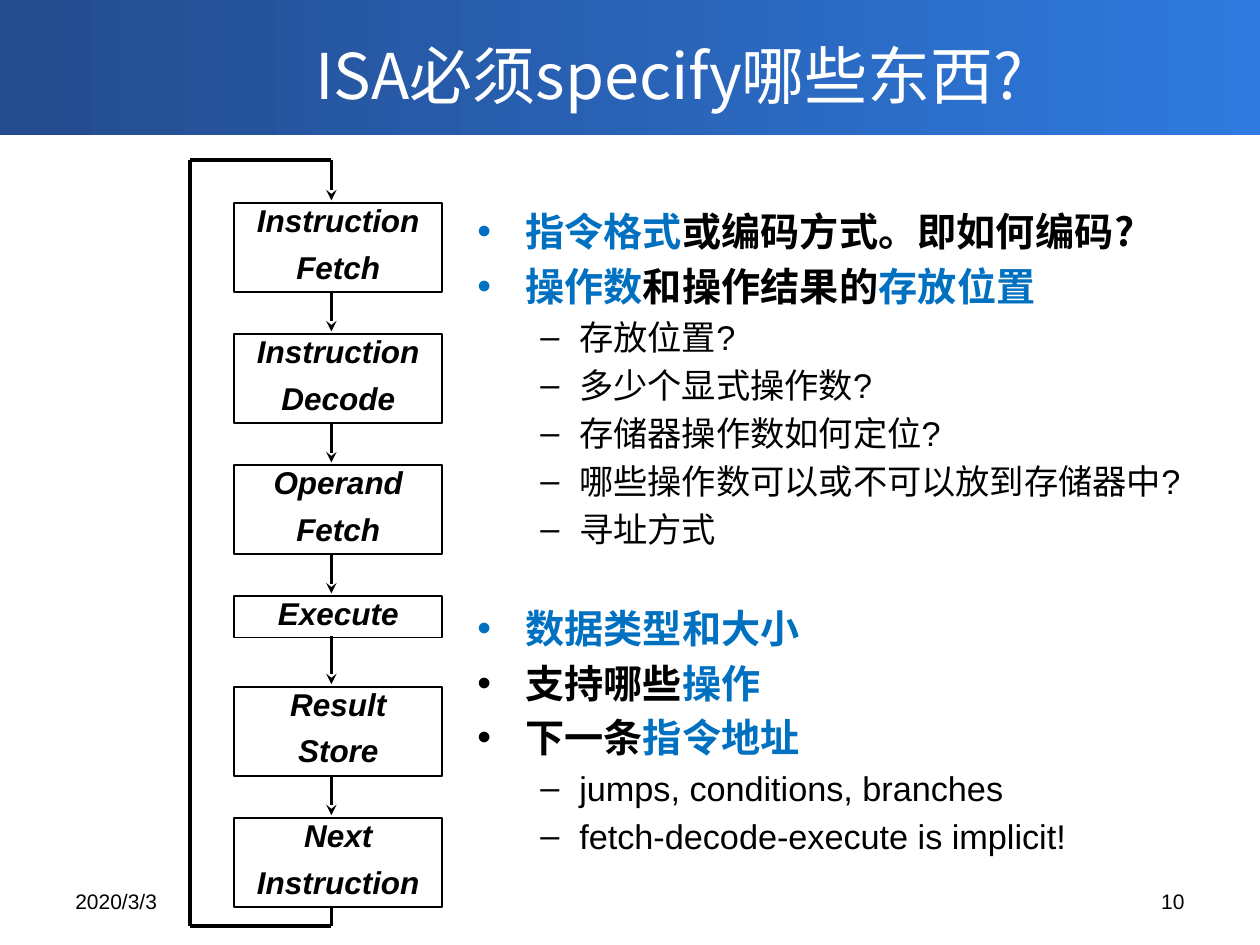
from lxml import etree
from pptx import Presentation
from pptx.dml.color import RGBColor
from pptx.enum import shapes, text
from pptx.oxml.ns import qn
from pptx.util import Inches, Pt

COLORS = {"band_dark": "234B8D", "band_light": "2F7ADF", "white": "FFFFFF",
          "black": "000000", "blue": "0070C0"}
LATIN, CHINESE = "Arial", "Noto Sans CJK SC"

presentation = Presentation()
presentation.slide_width, presentation.slide_height = Inches(10), Inches(7.5)
slide = presentation.slides.add_slide(presentation.slide_layouts[6])


def add_run(paragraph, wording, size, color="black", font=LATIN, bold=False, italic=False):
    run = paragraph.add_run()
    run.text = wording
    run.font.size, run.font.name = Pt(size), font
    run.font.bold, run.font.italic = bold, italic
    run.font.color.rgb = RGBColor.from_string(COLORS[color])
    if font == CHINESE:
        etree.SubElement(run.font._element, qn("a:ea"), typeface=font)


def add_line(start, end, arrow=False):
    line = slide.shapes.add_connector(shapes.MSO_CONNECTOR.STRAIGHT,
                                      *map(Inches, start + end))
    line.line.color.rgb = RGBColor.from_string(COLORS["black"])
    line.line.width = Pt(2)
    if arrow:
        etree.SubElement(line.line._get_or_add_ln(), qn("a:tailEnd"), type="stealth")
    etree.SubElement(line._element.spPr, qn("a:effectLst"))


# Title band
band = slide.shapes.add_shape(shapes.MSO_SHAPE.RECTANGLE, 0, 0, Inches(10), Inches(1.07))
band.shadow.inherit = False
band.line.fill.background()
band.fill.gradient()
band.fill.gradient_angle = 0
for stop, name in zip(band.fill.gradient_stops, ("band_dark", "band_light")):
    stop.color.rgb = RGBColor.from_string(COLORS[name])

# Title, date and page number
align = text.PP_ALIGN
for wording, place, size, color, font, alignment in [
    ("ISA必须specify哪些东西?", (1.13, 0.16, 8.37, 0.86), 36, "white", CHINESE, align.CENTER),
    ("2020/3/3", (0.5, 6.95, 2.33, 0.4), 12, "black", LATIN, align.LEFT),
    ("10", (7.17, 6.95, 2.33, 0.4), 12, "black", LATIN, align.RIGHT),
]:
    frame = slide.shapes.add_textbox(*map(Inches, place)).text_frame
    frame.word_wrap = True
    frame.vertical_anchor = text.MSO_ANCHOR.MIDDLE
    frame.paragraphs[0].alignment = alignment
    add_run(frame.paragraphs[0], wording, size, color, font)

# Bullet list: level and coloured pieces of each line
bullets = [
    (0, [("指令格式", "blue"), ("或编码方式。即如何编码?", "black")]),
    (0, [("操作数", "blue"), ("和操作结果的", "black"), ("存放位置", "blue")]),
    (1, [("存放位置?", "black")]),
    (1, [("多少个显式操作数?", "black")]),
    (1, [("存储器操作数如何定位?", "black")]),
    (1, [("哪些操作数可以或不可以放到存储器中?", "black")]),
    (1, [("寻址方式", "black")]),
    (0, [("数据类型和大小", "blue")]),
    (0, [("支持哪些", "black"), ("操作", "blue")]),
    (0, [("下一条", "black"), ("指令地址", "blue")]),
    (1, [("jumps, conditions, branches", "black")]),
    (1, [("fetch-decode-execute is implicit!", "black")]),
]
SECOND_GROUP = 7
# size, font, bold, line height, space before, margin, hanging indent, bullet
levels = [(22.4, CHINESE, True, 26, 5.2, 0.38, -0.38, "•"),
          (19.6, LATIN, False, 22.5, 4.9, 0.81, -0.31, "–")]
body = slide.shapes.add_textbox(Inches(3.69), Inches(1.61), Inches(5.8), Inches(5.52))
frame = body.text_frame
frame.word_wrap = True
frame.margin_right = 0
for index, (level, pieces) in enumerate(bullets):
    size, font, bold, height, before, margin, indent, mark = levels[level]
    paragraph = frame.add_paragraph() if index else frame.paragraphs[0]
    paragraph.level = level
    paragraph.line_spacing = Pt(height)
    if index:
        paragraph.space_before = Pt(before + (27.4 if index == SECOND_GROUP else 0))
    properties = paragraph._p.get_or_add_pPr()
    properties.set("marL", str(Inches(margin)))
    properties.set("indent", str(Inches(indent)))
    etree.SubElement(properties, qn("a:buFont"), typeface=LATIN)
    etree.SubElement(properties, qn("a:buChar"), char=mark)
    for wording, color in pieces:
        add_run(paragraph, wording, size, color, font, bold)

# Instruction cycle: top and height of each step
steps = [("Instruction Fetch", 1.61, 0.71), ("Instruction Decode", 2.65, 0.71),
         ("Operand Fetch", 3.69, 0.71), ("Execute", 4.73, 0.33),
         ("Result Store", 5.45, 0.71), ("Next Instruction", 6.49, 0.71)]
for label, top, height in steps:
    box = slide.shapes.add_shape(shapes.MSO_SHAPE.RECTANGLE, Inches(1.86), Inches(top),
                                 Inches(1.65), Inches(height))
    box.shadow.inherit = False
    box.fill.background()
    box.line.color.rgb = RGBColor.from_string(COLORS["black"])
    box.line.width = Pt(1)
    frame = box.text_frame
    frame.word_wrap = True
    frame.vertical_anchor = text.MSO_ANCHOR.TOP
    frame.margin_left = frame.margin_right = Inches(0.07)
    frame.margin_top = frame.margin_bottom = Inches(0.03)
    for index, word in enumerate(label.split()):
        paragraph = frame.add_paragraph() if index else frame.paragraphs[0]
        paragraph.alignment = align.CENTER
        paragraph.line_spacing = 0.86
        if index:
            paragraph.space_before = Pt(8)
        add_run(paragraph, word, 18, bold=True, italic=True)

# Arrows between steps, then the loop back to the first step
FLOW_X, LOOP_X, LOOP_TOP, LOOP_BOTTOM = 2.63, 1.51, 1.27, 7.35
for (_, top, height), (_, next_top, _) in zip(steps, steps[1:]):
    add_line((FLOW_X, top + height - 0.01), (FLOW_X, next_top - 0.02), arrow=True)
loop = [(FLOW_X, 7.19), (FLOW_X, LOOP_BOTTOM), (LOOP_X, LOOP_BOTTOM),
        (LOOP_X, LOOP_TOP), (FLOW_X, LOOP_TOP), (FLOW_X, 1.59)]
for start, end in zip(loop, loop[1:]):
    add_line(start, end, arrow=end == loop[-1])

presentation.save("out.pptx")
